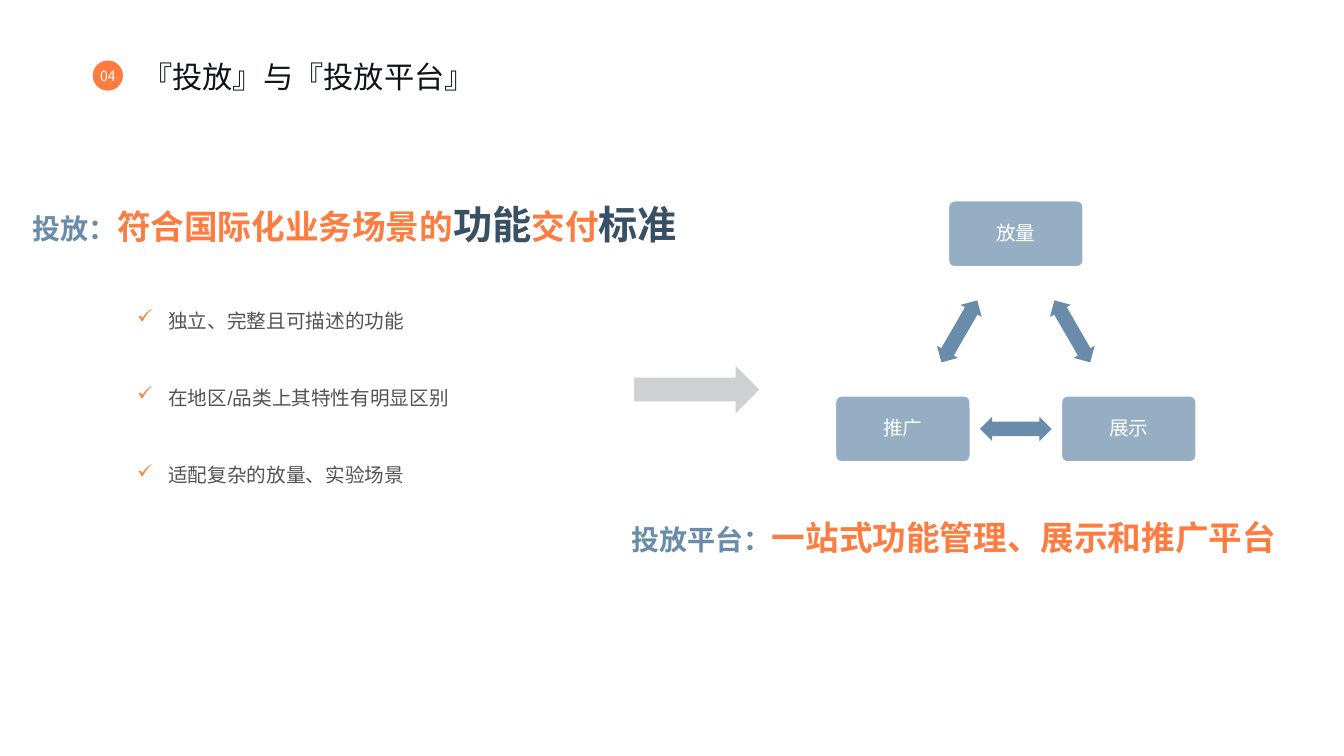
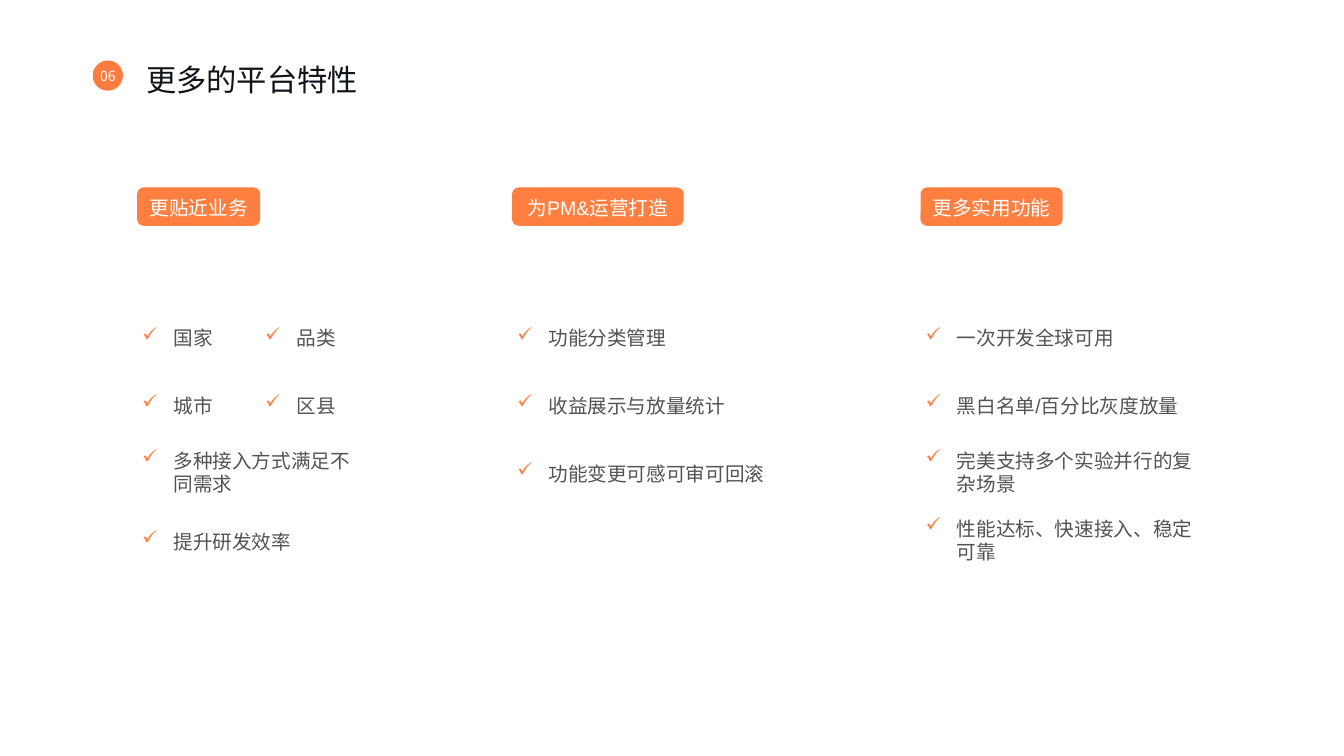
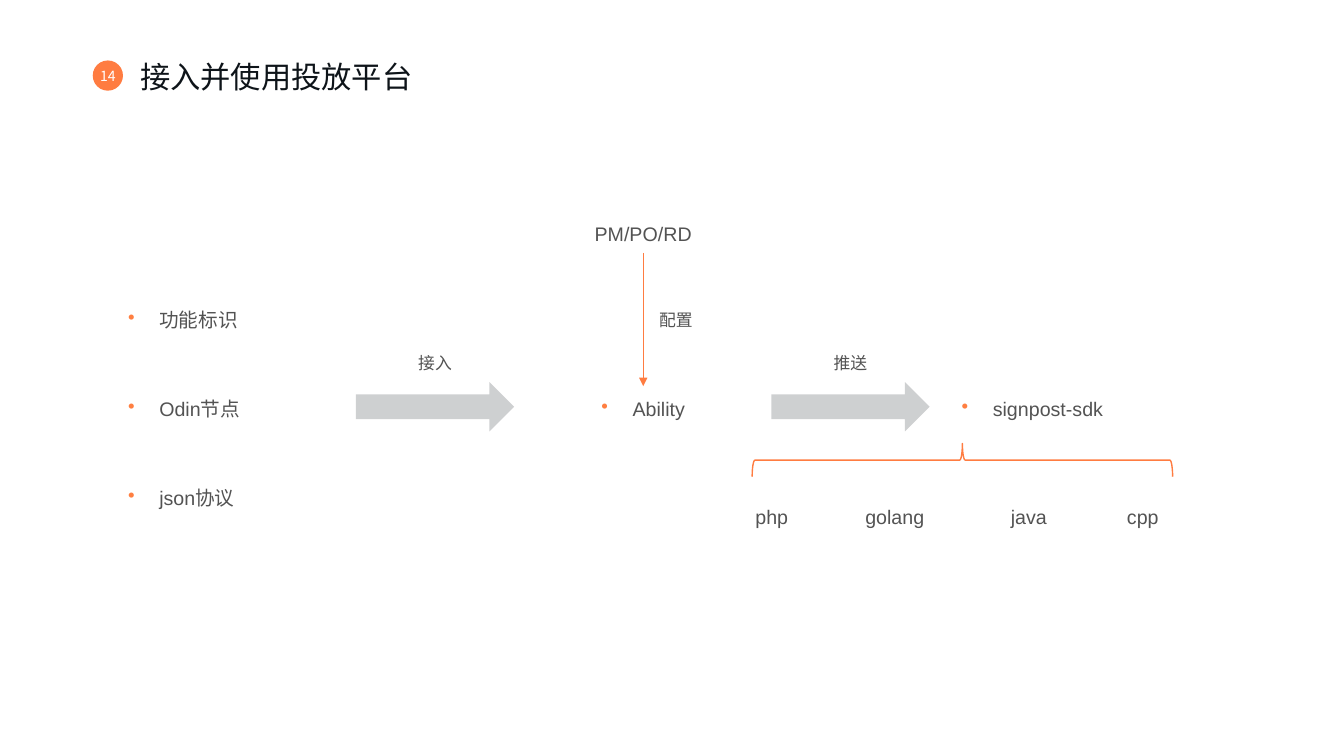
"""Build three slides about a feature delivery platform."""
import dataclasses
import math

import pptx
import pptx.dml.color
import pptx.enum.dml
import pptx.enum.shapes
import pptx.enum.text
import pptx.oxml.ns
import pptx.util
from lxml import etree

EMU_PER_PX = 9144
SHAPE = pptx.enum.shapes.MSO_SHAPE
ALIGN = pptx.enum.text.PP_ALIGN
MIDDLE = pptx.enum.text.MSO_ANCHOR.MIDDLE


@dataclasses.dataclass(frozen=True)
class Theme:
    orange: str = "FF7C41"
    bright_orange: str = "FF7F41"
    blue: str = "688CAA"
    navy: str = "385064"
    ink: str = "0E1419"
    grey: str = "535353"
    white: str = "FFFFFF"
    title_font: str = "Noto Sans CJK SC"
    body_font: str = "Arial"
    title_size: float = 21.6
    badge_size: float = 10
    note_size: float = 12
    body_size: float = 14
    lead_size: float = 20
    claim_size: float = 24
    strong_size: float = 28


THEME = Theme()


def px(length):
    return pptx.util.Emu(round(length * EMU_PER_PX))


def rgb(color):
    return pptx.dml.color.RGBColor.from_string(color)


def add_element(parent, tag, **attributes):
    element = etree.SubElement(parent, pptx.oxml.ns.qn(tag))
    for name, value in attributes.items():
        element.set(name, str(value))
    return element


def format_span(span, size, color, bold=False, font=THEME.body_font):
    span.font.size = pptx.util.Pt(size)
    span.font.bold = bold
    span.font.color.rgb = rgb(color)
    span.font.name = font
    add_element(span.font._element, "a:ea", typeface=font)


def set_margins(frame, horizontal, vertical):
    frame.margin_left = frame.margin_right = px(horizontal)
    frame.margin_top = frame.margin_bottom = px(vertical)


def set_text(box, text, size, color, font=THEME.body_font, align=ALIGN.CENTER,
             margins=(5, 5), spacing=1.1, wrap=True):
    frame = box.text_frame
    frame.text = text
    frame.word_wrap = wrap
    frame.auto_size = pptx.enum.text.MSO_AUTO_SIZE.NONE
    frame.vertical_anchor = MIDDLE
    set_margins(frame, *margins)
    para = frame.paragraphs[0]
    para.alignment = align
    para.line_spacing = spacing
    for span in para.runs:
        format_span(span, size, color, font=font)


def add_label(slide, box, text, size=THEME.body_size, **options):
    label = slide.shapes.add_textbox(*map(px, box))
    set_text(label, text, size, THEME.grey, **options)
    return label


def add_bullet(slide, box, text, mark="✓", **options):
    label = add_label(slide, box, text, **options)
    properties = label.text_frame.paragraphs[0]._p.get_or_add_pPr()
    properties.set("marL", str(px(31)))
    properties.set("indent", str(-px(31)))
    color = add_element(properties, "a:buClr")
    add_element(color, "a:srgbClr", val=THEME.bright_orange)
    add_element(properties, "a:buChar", char=mark)


def add_claim(slide, box, parts):
    claim = slide.shapes.add_textbox(*map(px, box))
    frame = claim.text_frame
    frame.word_wrap = True
    frame.vertical_anchor = MIDDLE
    set_margins(frame, 5, 5)
    para = frame.paragraphs[0]
    para.alignment = ALIGN.CENTER
    para.line_spacing = 1.1
    for text, size, color in parts:
        span = para.add_run()
        span.text = text
        format_span(span, size, color, bold=True)


def add_filled(slide, kind, box, color, opacity=100):
    shape = slide.shapes.add_shape(kind, *map(px, box))
    shape.shadow.inherit = False
    shape.fill.solid()
    shape.fill.fore_color.rgb = rgb(color)
    shape.line.fill.background()
    if opacity < 100:
        tint = shape.fill._xPr.find(".//" + pptx.oxml.ns.qn("a:srgbClr"))
        add_element(tint, "a:alpha", val=opacity * 1000)
    return shape


def add_flow_arrow(slide, box):
    add_filled(slide, SHAPE.RIGHT_ARROW, box, THEME.ink, opacity=20)


def add_node(slide, center, text):
    width, height = 135, 67
    box = (center[0] - width / 2, center[1] - height / 2, width, height)
    node = add_filled(slide, SHAPE.ROUNDED_RECTANGLE, box, THEME.blue, opacity=70)
    node.adjustments[0] = 0.1
    node.line.color.rgb = rgb(THEME.white)
    node.line.width = pptx.util.Pt(2)
    set_text(node, text, THEME.body_size, THEME.white, margins=(8, 8), spacing=0.9)


def add_exchange_arrow(slide, start, end):
    width, height = 71, 24
    left = (start[0] + end[0] - width) / 2
    top = (start[1] + end[1] - height) / 2
    arrow = add_filled(slide, SHAPE.LEFT_RIGHT_ARROW, (left, top, width, height), THEME.blue)
    arrow.adjustments[0] = 0.6
    arrow.adjustments[1] = 0.5
    arrow.rotation = math.degrees(math.atan2(end[1] - start[1], end[0] - start[0]))


def add_pill(slide, box, text):
    pill = add_filled(slide, SHAPE.ROUNDED_RECTANGLE, box, THEME.bright_orange)
    set_text(pill, text, THEME.body_size, THEME.white, margins=(10, 5), wrap=False)


def add_down_arrow(slide, x, top, bottom):
    line = slide.shapes.add_connector(
        pptx.enum.shapes.MSO_CONNECTOR.STRAIGHT, px(x), px(top), px(x), px(bottom))
    line.line.color.rgb = rgb(THEME.orange)
    line.line.width = pptx.util.Pt(1)
    add_element(line.line._get_or_add_ln(), "a:tailEnd", type="triangle")
    add_element(line._element.spPr, "a:effectLst")


def add_top_brace(slide, left, top, width, height):
    box = (left + (width - height) / 2, top + (height - width) / 2, height, width)
    brace = slide.shapes.add_shape(SHAPE.LEFT_BRACE, *map(px, box))
    brace.shadow.inherit = False
    brace.fill.background()
    brace.line.color.rgb = rgb(THEME.orange)
    brace.line.width = pptx.util.Pt(1)
    brace.rotation = 90


def add_page(deck, number, title, title_box):
    page = deck.slides.add_slide(deck.slide_layouts[5])
    heading = page.shapes.title
    heading.left, heading.top, heading.width, heading.height = map(px, title_box)
    set_text(heading, title, THEME.title_size, THEME.ink, font=THEME.title_font,
             align=ALIGN.LEFT, margins=(10, 5), spacing=1.0)
    badge = add_filled(page, SHAPE.OVAL, (92, 60, 30, 30), THEME.orange)
    set_text(badge, number, THEME.badge_size, THEME.white, font=THEME.title_font,
             margins=(0, 0), spacing=1.0, wrap=False)
    return page


def build_definition(deck):
    page = add_page(deck, "04", "『投放』与『投放平台』", (131, 54, 876, 43))
    add_claim(page, (13, 182, 678, 75), [
        ("投放：", THEME.lead_size, THEME.blue),
        ("符合国际化业务场景的", THEME.claim_size, THEME.orange),
        ("功能", THEME.strong_size, THEME.navy),
        ("交付", THEME.claim_size, THEME.orange),
        ("标准", THEME.strong_size, THEME.navy),
    ])
    traits = ["独立、完整且可描述的功能", "在地区/品类上其特性有明显区别", "适配复杂的放量、实验场景"]
    for row, trait in enumerate(traits):
        add_bullet(page, (131, 287 + 76.5 * row, 354, 59), trait, align=ALIGN.LEFT)
    add_claim(page, (604, 493, 684, 75), [
        ("投放平台：", THEME.lead_size, THEME.blue),
        ("一站式功能管理、展示和推广平台", THEME.claim_size, THEME.orange),
    ])
    nodes = {"放量": (1007.5, 232), "展示": (1119.5, 425.5), "推广": (895.5, 425.5)}
    centers = list(nodes.values())
    for index, (text, center) in enumerate(nodes.items()):
        add_node(page, center, text)
        add_exchange_arrow(page, center, centers[(index + 1) % len(centers)])
    add_flow_arrow(page, (629, 363, 124, 47))


def build_features(deck):
    page = add_page(deck, "06", "更多的平台特性", (135, 56, 876, 46))
    columns = [
        (136, 122, 221, "更贴近业务",
         [["国家", "品类"], ["城市", "区县"], ["多种接入方式满足不同需求"], ["提升研发效率"]]),
        (508, 170, 276, "为PM&运营打造",
         [["功能分类管理"], ["收益展示与放量统计"], ["功能变更可感可审可回滚"]]),
        (913, 141, 276, "更多实用功能",
         [["一次开发全球可用"], ["黑白名单/百分比灰度放量"],
          ["完美支持多个实验并行的复杂场景"], ["性能达标、快速接入、稳定可靠"]]),
    ]
    for left, pill_width, width, heading, rows in columns:
        add_pill(page, (left, 186, pill_width, 38), heading)
        for row, items in enumerate(rows):
            for column, item in enumerate(items):
                item_width = width if len(items) == 1 else 98
                spacing = 1.0 if len(item) * 19.4 > item_width - 41 else 1.1
                box = (left + 122 * column, 304 + 67.4 * row, item_width, 59)
                add_bullet(page, box, item, align=ALIGN.LEFT, spacing=spacing)


def build_usage(deck):
    page = add_page(deck, "14", "接入并使用投放平台", (129, 56, 876, 39))
    for row, item in enumerate(["功能标识", "Odin节点", "json协议"]):
        add_bullet(page, (122, 295 + 88.5 * row, 176, 42), item, mark="•", align=ALIGN.LEFT)
    for left, item in [(550, "Ability"), (936, "signpost-sdk")]:
        add_bullet(page, (left, 383, 176, 42), item, mark="•")
    add_label(page, (550, 210, 176, 42), "PM/PO/RD")
    add_down_arrow(page, 638, 251, 383)
    for left in (353, 765):
        add_flow_arrow(page, (left, 379, 157, 49))
    for left, top, step in [(396, 338, "接入"), (635, 295, "配置"), (808, 338, "推送")]:
        add_label(page, (left, top, 71, 42), step, size=THEME.note_size)
    add_top_brace(page, 746, 440, 417, 33)
    for left, width, language in [(735, 61, "php"), (838, 99, "golang"),
                                  (990, 61, "java"), (1103, 61, "cpp")]:
        add_label(page, (left, 490, width, 42), language)


def main():
    deck = pptx.Presentation()
    deck.slide_width, deck.slide_height = px(1333), px(750)
    build_definition(deck)
    build_features(deck)
    build_usage(deck)
    deck.save("out.pptx")


if __name__ == "__main__":
    main()
